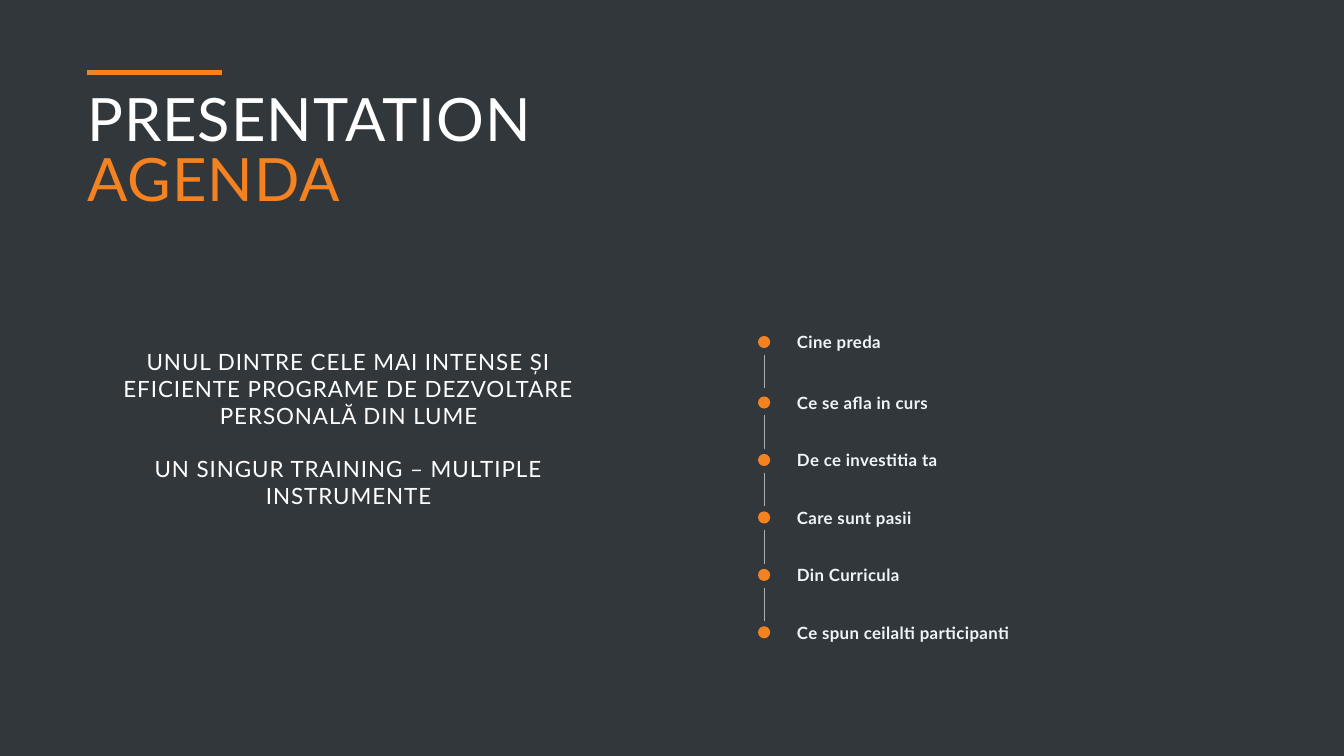
from lxml.etree import SubElement
from pptx import Presentation
from pptx.dml.color import RGBColor
from pptx.enum.shapes import MSO_CONNECTOR, MSO_SHAPE
from pptx.enum.text import PP_ALIGN
from pptx.oxml.ns import qn
from pptx.util import Inches, Pt

BACKGROUND = RGBColor(0x32, 0x37, 0x3C)
ORANGE = RGBColor(0xF5, 0x82, 0x20)
WHITE = RGBColor(0xFF, 0xFF, 0xFF)
PALE = RGBColor(0xF0, 0xF5, 0xFA)
GREY = RGBColor(0xAA, 0xAF, 0xB4)

AGENDA = [
    "Cine preda",
    "Ce se afla in curs",
    "De ce investitia ta",
    "Care sunt pasii",
    "Din Curricula",
    "Ce spun ceilalti participanti",
]
FIRST_TOP, SECOND_TOP, LAST_TOP = 2.47, 2.92, 4.63
STEP = (LAST_TOP - SECOND_TOP) / (len(AGENDA) - 2)
TEXT_HEIGHT = 0.15
DOT_SIZE = 0.09
DOT_LEFT = 5.64
LINE_LEFT = 5.69


class SlideBuilder:
    font_name = "Lato"

    def __init__(self, slide):
        self.slide = slide
        slide.background.fill.solid()
        slide.background.fill.fore_color.rgb = BACKGROUND

    def text(self, left, top, width, height, lines, size, tracking,
             bold=False, align=PP_ALIGN.LEFT, line_spacing=None, gap=0, inset=0):
        """Add a text box; lines holds (text, colour) pairs, tracking is in points."""
        box = self.slide.shapes.add_textbox(
            Inches(left), Inches(top), Inches(width), Inches(height))
        frame = box.text_frame
        frame.word_wrap = True
        frame.margin_left = frame.margin_right = Inches(2 * inset)
        frame.margin_top = frame.margin_bottom = Inches(inset)
        for index, (content, color) in enumerate(lines):
            paragraph = frame.add_paragraph() if index else frame.paragraphs[0]
            paragraph.text = content
            paragraph.alignment = align
            if line_spacing:
                paragraph.line_spacing = Pt(line_spacing)
            if index and gap:
                paragraph.space_before = Pt(gap)
            font = paragraph.font
            font.name, font.size, font.bold = self.font_name, Pt(size), bold
            font.color.rgb = color
            properties = paragraph._p.get_or_add_pPr().get_or_add_defRPr()
            properties.set("spc", str(round(tracking * 100)))

    def dot(self, left, top):
        shape = self.slide.shapes.add_shape(
            MSO_SHAPE.OVAL, Inches(left), Inches(top), Inches(DOT_SIZE), Inches(DOT_SIZE))
        shape.shadow.inherit = False
        shape.fill.solid()
        shape.fill.fore_color.rgb = ORANGE
        shape.line.fill.background()

    def line(self, start, end, color, width):
        connector = self.slide.shapes.add_connector(
            MSO_CONNECTOR.STRAIGHT, *map(Inches, start + end))
        connector.line.color.rgb = color
        connector.line.width = Pt(width)
        SubElement(connector._element.spPr, qn("a:effectLst"))


def main():
    presentation = Presentation()
    presentation.slide_width = Inches(10)
    presentation.slide_height = presentation.slide_width * 9 // 16
    builder = SlideBuilder(presentation.slides.add_slide(presentation.slide_layouts[6]))

    builder.line((0.65, 0.54), (1.65, 0.54), ORANGE, 2.25)
    builder.text(0.65, 0.7, 3.53, 0.9, [("PRESENTATION", WHITE), ("AGENDA", ORANGE)],
                 size=32, tracking=0.5, line_spacing=32)
    builder.text(
        0.65, 2.54, 3.89, 1.31,
        [("UNUL DINTRE CELE MAI INTENSE ȘI EFICIENTE PROGRAME DE DEZVOLTARE "
          "PERSONALĂ DIN LUME", WHITE),
         ("UN SINGUR TRAINING – MULTIPLE INSTRUMENTE", WHITE)],
        size=12, tracking=0.5, align=PP_ALIGN.CENTER, gap=14.4, inset=0.05)

    tops = [FIRST_TOP] + [SECOND_TOP + STEP * index for index in range(len(AGENDA) - 1)]
    for topic, top in zip(AGENDA, tops):
        builder.text(5.93, top, 3.42, TEXT_HEIGHT, [(topic, PALE)],
                     size=9, tracking=0.2, bold=True)
        builder.dot(DOT_LEFT, top + (TEXT_HEIGHT - DOT_SIZE) / 2)
    for top in tops[:-1]:
        builder.line((LINE_LEFT, top + 0.17), (LINE_LEFT, top + 0.42), GREY, 0.75)

    presentation.save("out.pptx")


if __name__ == "__main__":
    main()
